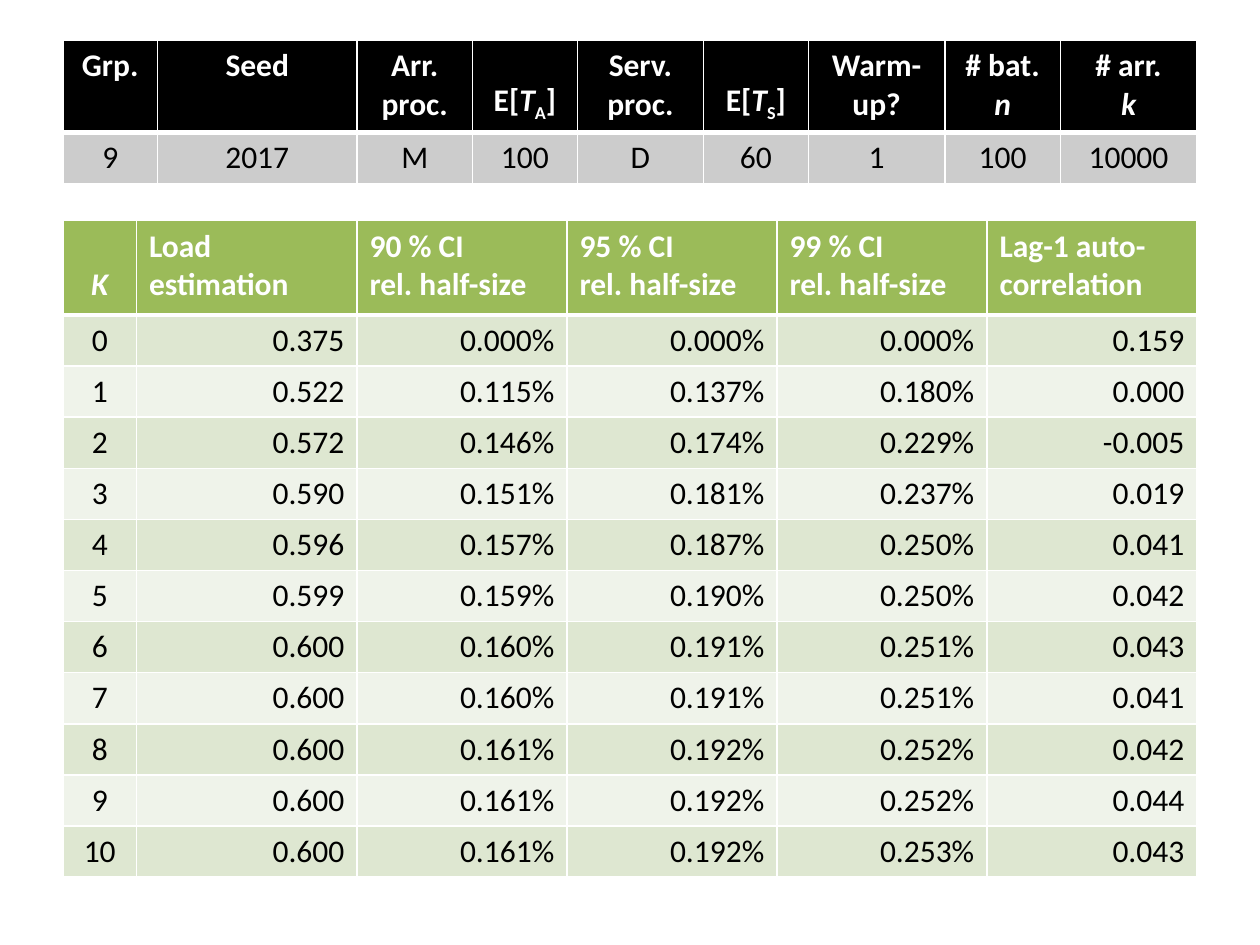
from dataclasses import dataclass

from lxml.etree import SubElement
from pptx import Presentation
from pptx.dml.color import RGBColor as Color
from pptx.enum.text import MSO_ANCHOR as Anchor, PP_ALIGN as Align
from pptx.oxml.ns import qn
from pptx.util import Cm, Pt


@dataclass(frozen=True)
class Theme:
    font: str = "Calibri"
    size: int = 18
    light: str = "FFFFFF"
    dark: str = "000000"
    green: str = "9BBB59"
    green_bands: tuple = ("DEE7D1", "EFF3EA")
    grey_bands: tuple = ("CCCCCC",)
    thin: int = 1
    thick: int = 3


@dataclass(frozen=True)
class Span:
    text: str
    italic: bool = False
    baseline: int = 0


@dataclass(frozen=True)
class Bottom:
    spans: tuple


class TablePage:
    column_unit = 22.86 / 108
    two_line_height = 1.81
    margin = 0.13

    def __init__(self, deck, theme):
        self.theme = theme
        self.page = deck.slides.add_slide(deck.slide_layouts[6])

    def table(self, top, units, header, rows, heights, colour, bands, aligns):
        header_height, row_height = heights
        frame = self.page.shapes.add_table(
            len(rows) + 1, len(units), Cm(1.27), Cm(top),
            Cm(sum(units) * self.column_unit), Cm(header_height + row_height * len(rows)))
        table = frame.table
        table.horz_banding = False
        for column, unit in zip(table.columns, units):
            column.width = Cm(unit * self.column_unit)
        for index, row in enumerate(table.rows):
            row.height = Cm(row_height if index else header_height)
        header_aligns, body_aligns = aligns
        spare = header_height - self.two_line_height
        for index, content in enumerate(header):
            cell = table.cell(0, index)
            if isinstance(content, Bottom):
                cell.vertical_anchor = Anchor.BOTTOM
                cell.margin_bottom = Cm(self.margin + spare)
                content = (content.spans,)
            self.fill_cell(cell, content, header_aligns[index], colour, 0)
        for number, row in enumerate(rows, start=1):
            band = bands[(number - 1) % len(bands)]
            for index, value in enumerate(row):
                self.fill_cell(table.cell(number, index), ((Span(value),),),
                               body_aligns[index], band, number)

    def fill_cell(self, cell, paragraphs, align, colour, number):
        theme = self.theme
        is_header = number == 0
        frame = cell.text_frame
        for index, spans in enumerate(paragraphs):
            para = frame.add_paragraph() if index else frame.paragraphs[0]
            para.alignment = align
            for span in spans:
                self.add_span(para, span, is_header)
        self.borders(cell, L=theme.thin, R=theme.thin,
                     T=theme.thick if number == 1 else theme.thin,
                     B=theme.thick if is_header else theme.thin)
        cell.fill.solid()
        cell.fill.fore_color.rgb = Color.from_string(colour)

    def add_span(self, para, span, is_header):
        theme = self.theme
        first = len(para.runs)
        for index, line in enumerate(span.text.split("\v")):
            if index:
                para.add_line_break()
            para.add_run().text = line
        for run in para.runs[first:]:
            font = run.font
            font.name, font.size = theme.font, Pt(theme.size)
            font.bold, font.italic = is_header, span.italic
            font.color.rgb = Color.from_string(theme.light if is_header else theme.dark)
            if span.baseline:
                run._r.get_or_add_rPr().set("baseline", str(span.baseline * 1000))

    def borders(self, cell, **widths):
        properties = cell._tc.get_or_add_tcPr()
        for side, width in widths.items():
            line = SubElement(properties, qn(f"a:ln{side}"), w=str(Pt(width)))
            fill = SubElement(line, qn("a:solidFill"))
            SubElement(fill, qn("a:srgbClr"), val=self.theme.light)


def lines(*texts):
    return tuple((Span(text),) for text in texts)


def expected_time(index):
    return Bottom((Span("E["), Span("T", italic=True), Span(index, baseline=-25), Span("]")))


def counted(label, symbol):
    return ((Span(label),), (Span(symbol, italic=True),))


RESULTS = """
0 0.375 0.000% 0.000% 0.000% 0.159
1 0.522 0.115% 0.137% 0.180% 0.000
2 0.572 0.146% 0.174% 0.229% -0.005
3 0.590 0.151% 0.181% 0.237% 0.019
4 0.596 0.157% 0.187% 0.250% 0.041
5 0.599 0.159% 0.190% 0.250% 0.042
6 0.600 0.160% 0.191% 0.251% 0.043
7 0.600 0.160% 0.191% 0.251% 0.041
8 0.600 0.161% 0.192% 0.252% 0.042
9 0.600 0.161% 0.192% 0.252% 0.044
10 0.600 0.161% 0.192% 0.253% 0.043
"""

theme = Theme()
deck = Presentation()
deck.slide_width, deck.slide_height = Cm(25.4), Cm(19.05)
page = TablePage(deck, theme)

intervals = [lines(f"{level} % CI", "rel. half-size") for level in (90, 95, 99)]
page.table(
    top=4.45,
    units=[7, 21, 20, 20, 20, 20],
    header=[Bottom((Span("K", italic=True),)), lines("Load\vestimation"),
            *intervals, lines("Lag-1 auto-\vcorrelation")],
    rows=[row.split() for row in RESULTS.strip().splitlines()],
    heights=(1.9, 1.03),
    colour=theme.green,
    bands=theme.green_bands,
    aligns=([Align.CENTER] + [Align.LEFT] * 5, [Align.CENTER] + [Align.RIGHT] * 5))

page.table(
    top=0.82,
    units=[9, 19, 11, 10, 12, 10, 13, 11, 13],
    header=[lines("Grp."), lines("Seed"), lines("Arr. proc."), expected_time("A"),
            lines("Serv.\vproc."), expected_time("S"), lines("Warm-up?"),
            counted("# bat.", "n"), counted("# arr.", "k")],
    rows=["9 2017 M 100 D 60 1 100 10000".split()],
    heights=(1.85, 1.03),
    colour=theme.dark,
    bands=theme.grey_bands,
    aligns=([Align.CENTER] * 9, [Align.CENTER] * 9))

deck.save("out.pptx")
